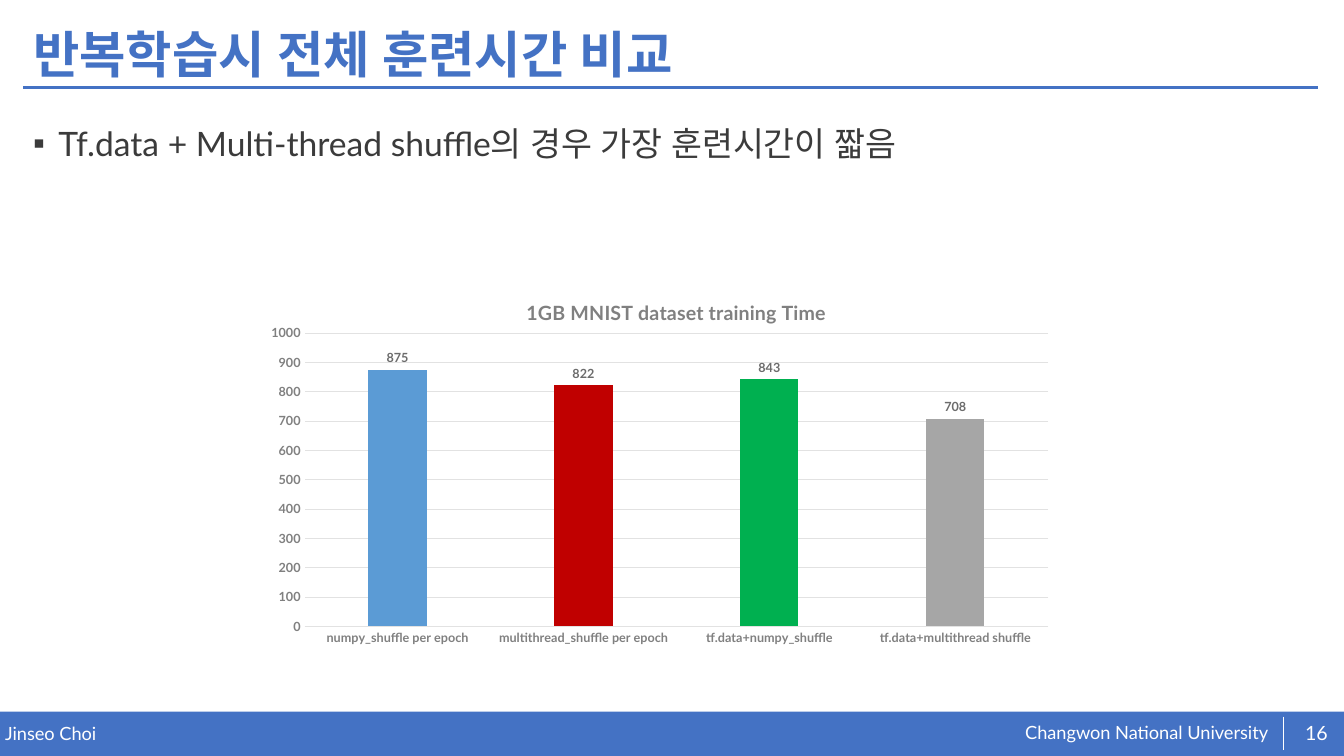
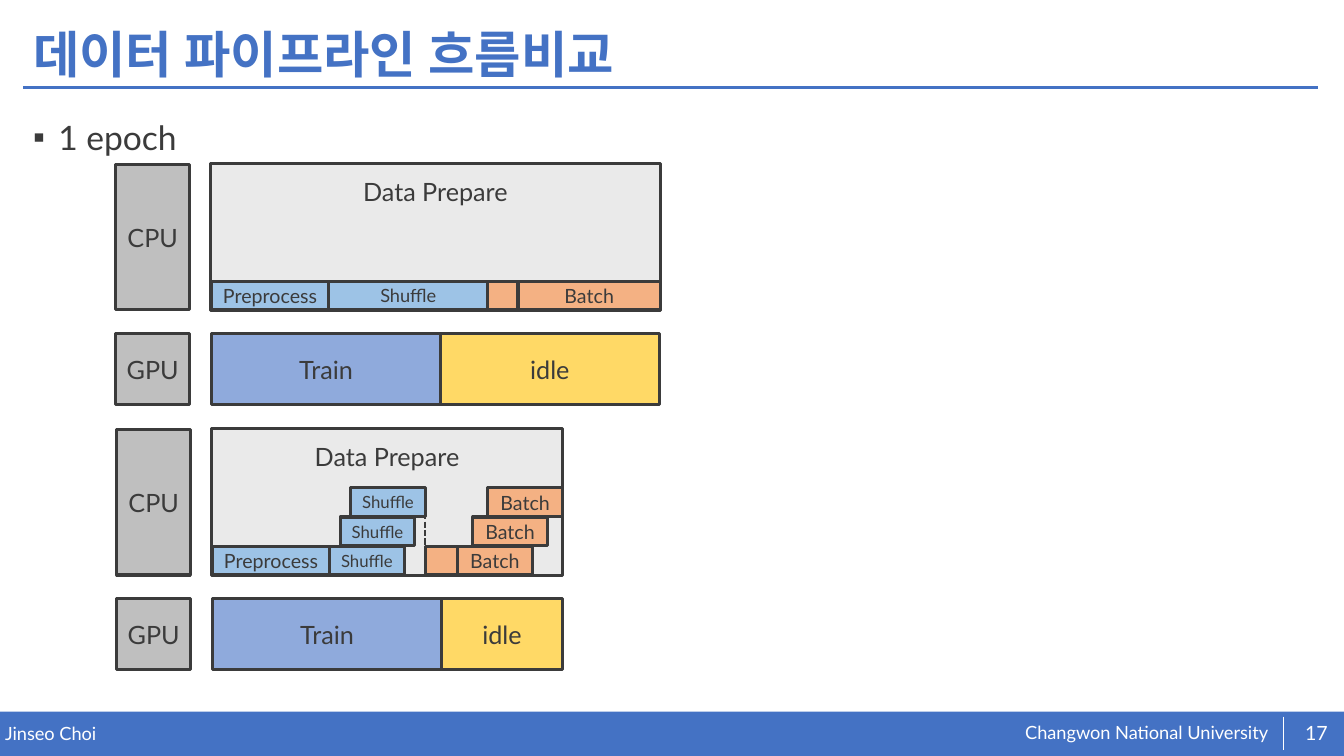
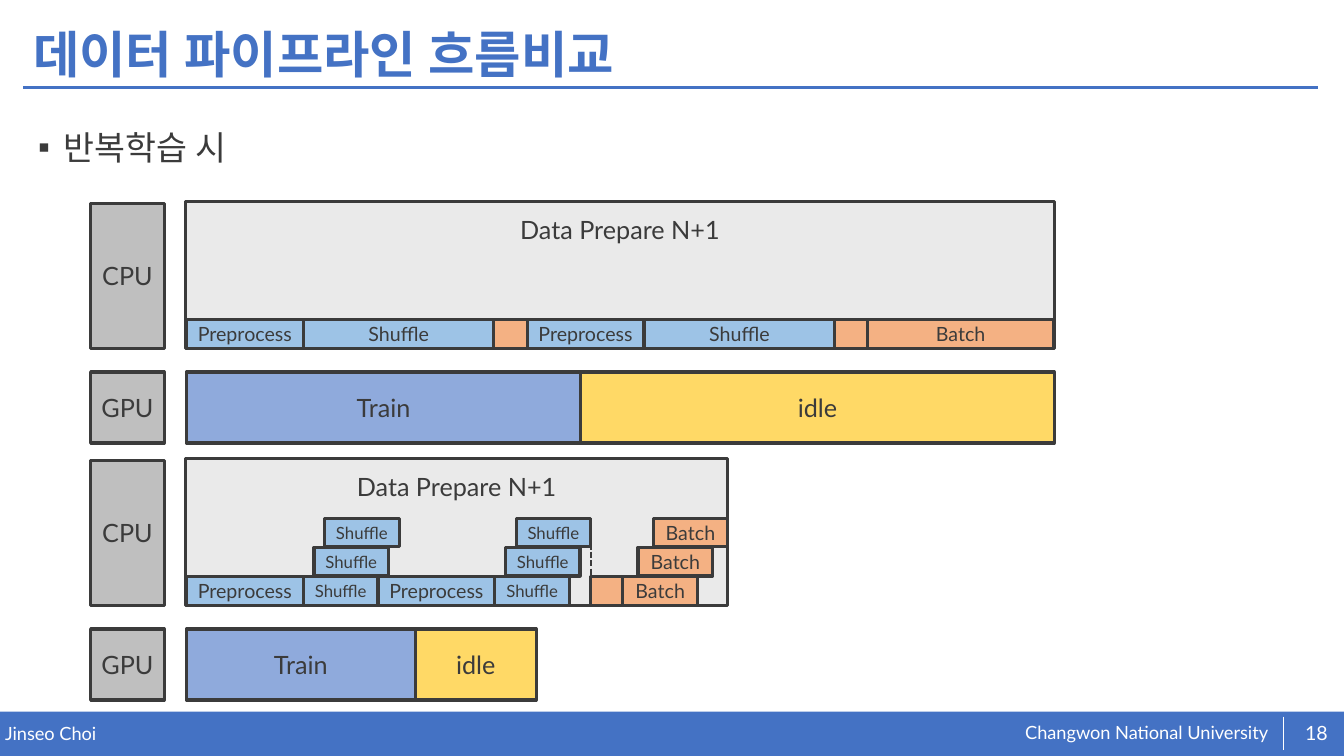
from dataclasses import dataclass
from typing import Any, NamedTuple

from lxml.etree import SubElement
from pptx import Presentation
from pptx.chart.data import CategoryChartData
from pptx.dml.color import RGBColor
from pptx.enum.chart import XL_CHART_TYPE, XL_LABEL_POSITION, XL_TICK_MARK
from pptx.enum.dml import MSO_LINE
from pptx.enum.shapes import MSO_CONNECTOR, MSO_SHAPE
from pptx.enum.text import MSO_ANCHOR, PP_ALIGN
from pptx.oxml import parse_xml
from pptx.oxml.ns import nsdecls, qn
from pptx.util import Emu, Inches, Pt

# Grid: one column and one row are a tenth of an inch
CELL = Inches(0.1)
COLS, ROWS = 133.33, 75

# Colours and font
FONT = "Lato"
WHITE = RGBColor(0xFF, 0xFF, 0xFF)
BLUE = RGBColor(0x44, 0x72, 0xC4)
INK = RGBColor(0x3B, 0x3B, 0x3B)
CHIP = RGBColor(0xBF, 0xBF, 0xBF)
PANEL = RGBColor(0xEA, 0xEA, 0xEA)
YELLOW = RGBColor(0xFF, 0xD9, 0x66)
PERIWINKLE = RGBColor(0x8F, 0xAA, 0xDC)
SKY = RGBColor(0x9D, 0xC3, 0xE6)
ORANGE = RGBColor(0xF4, 0xB1, 0x83)
GREY = RGBColor(0x80, 0x80, 0x80)
LABEL_GREY = RGBColor(0x6C, 0x6C, 0x6C)
GRID_GREY = RGBColor(0xE2, 0xE2, 0xE2)
BAR_COLORS = (RGBColor(0x5B, 0x9B, 0xD5), RGBColor(0xC0, 0x00, 0x00),
              RGBColor(0x00, 0xB0, 0x50), RGBColor(0xA6, 0xA6, 0xA6))


class Box(NamedTuple):
    """A place on the grid, in columns and rows."""
    x: float
    y: float
    w: float
    h: float

    def emu(self) -> list[Emu]:
        return [Emu(round(v * CELL)) for v in self]


@dataclass(frozen=True)
class Step:
    """A pipeline step; copies climb up and to the right."""
    text: str
    width: float
    color: RGBColor
    size: int = 14
    copies: int = 1
    shift: float = 0
    barrier: bool = False


@dataclass(frozen=True)
class Lane:
    """A CPU row with its steps above a GPU row."""
    x: float
    y: float
    width: float
    title: str
    train: float
    idle: float
    steps: tuple[Step, ...]


def put(obj: Any, **values: Any) -> None:
    for name, value in values.items():
        setattr(obj, name, value)


def style_font(font: Any, size: float, color: RGBColor, bold: bool = False) -> None:
    put(font, name=FONT, size=Pt(size), bold=bold)
    font.color.rgb = color


def write(sp: Any, text: str, size: float, color: RGBColor = INK, bold: bool = False,
          align: PP_ALIGN = PP_ALIGN.LEFT, anchor: MSO_ANCHOR = MSO_ANCHOR.TOP,
          inset: tuple[float, float] = (0, 0)) -> Any:
    """Fill a shape with one paragraph; inset is across, down in cells."""
    tf = sp.text_frame
    across, down = (Emu(round(v * CELL)) for v in inset)
    put(tf, word_wrap=True, vertical_anchor=anchor, margin_left=across,
        margin_right=across, margin_top=down, margin_bottom=down)
    p = tf.paragraphs[0]
    p.alignment = align
    r = p.add_run()
    r.text = text
    style_font(r.font, size, color, bold)
    SubElement(r.font._element, qn("a:ea")).set("typeface", FONT)
    return p


def add_text(s: Any, box: Box, text: str, size: float, **style: Any) -> Any:
    return write(s.shapes.add_textbox(*box.emu()), text, size, **style)


def add_block(s: Any, box: Box, fill: RGBColor, text: str = "", size: float = 18,
              outlined: bool = True, **style: Any) -> None:
    sp = s.shapes.add_shape(MSO_SHAPE.RECTANGLE, *box.emu())
    sp.shadow.inherit = False
    sp.fill.solid()
    sp.fill.fore_color.rgb = fill
    if outlined:
        sp.line.color.rgb = INK
        sp.line.width = Pt(2.25)
    else:
        sp.line.fill.background()
    if text:
        write(sp, text, size, **{"align": PP_ALIGN.CENTER,
                                 "anchor": MSO_ANCHOR.MIDDLE, **style})


def add_line(s: Any, x1: float, y1: float, x2: float, y2: float,
             color: RGBColor, width: float, dashed: bool = False) -> None:
    ends = Box(x1, y1, x2, y2).emu()
    line = s.shapes.add_connector(MSO_CONNECTOR.STRAIGHT, *ends)
    line.line.color.rgb = color
    line.line.width = Pt(width)
    if dashed:
        line.line.dash_style = MSO_LINE.SQUARE_DOT
    SubElement(line._element.spPr, qn("a:effectLst"))


# Shared frame: footer band, title with rule, bullet line
def add_page(prs: Any, number: int, title: str, bullet: str,
             bullet_x: float, bullet_y: float) -> Any:
    s = prs.slides.add_slide(prs.slide_layouts[6])
    add_block(s, Box(0, 70.6, COLS, 4.4), BLUE, outlined=False)
    add_text(s, Box(101.7, 71.6, 25.2, 2.3), "Changwon National University", 13,
             color=WHITE)
    add_text(s, Box(0.5, 71.7, 65.5, 2.2), "Jinseo Choi", 13, color=WHITE)
    add_line(s, 2.3, 8.7, 130.8, 8.7, BLUE, 2)
    add_line(s, 127.3, 71.1, 127.3, 74.4, WHITE, 0.5)
    add_text(s, Box(128.2, 70.7, 4.8, 4), str(number), 14, color=WHITE,
             align=PP_ALIGN.CENTER, anchor=MSO_ANCHOR.MIDDLE)
    p = add_text(s, Box(2.3, 1.8, 128.6, 7.7), title, 36, color=BLUE, bold=True,
                 anchor=MSO_ANCHOR.MIDDLE, inset=(1, 0.5))
    p.line_spacing = 0.9
    p = add_text(s, Box(bullet_x, bullet_y, 128.6, 56.3), bullet, 24, inset=(1, 0.5))
    put(p, line_spacing=1.4, space_before=Pt(10))
    pPr = p._p.get_or_add_pPr()
    pPr.set("marL", str(Inches(0.25)))
    pPr.set("indent", str(-Inches(0.25)))
    SubElement(pPr, qn("a:buFont")).set("typeface", "Arial")
    SubElement(pPr, qn("a:buChar")).set("char", "▪")
    return s


# Pipeline diagram
CPU_H, GPU_H, GPU_DROP = 14.6, 7.05, 16.9
CHIP_W, CHIP_GAP = 7.3, 9.4
STEP_H, STEP_RISE, STEP_TOP = 2.85, 2.9, 11.7


def add_lane(s: Any, lane: Lane) -> None:
    gpu_y = lane.y + GPU_DROP
    chip_x = lane.x - CHIP_GAP
    add_block(s, Box(chip_x, lane.y + 0.15, CHIP_W, CPU_H - 0.2), CHIP, "CPU")
    add_block(s, Box(chip_x, gpu_y, CHIP_W, GPU_H), CHIP, "GPU")
    add_block(s, Box(lane.x, lane.y, lane.width, CPU_H), PANEL, lane.title,
              anchor=MSO_ANCHOR.TOP, inset=(1, 1.3))
    x = lane.x + 0.1
    add_block(s, Box(x + lane.train, gpu_y, lane.idle, GPU_H), YELLOW, "idle")
    add_block(s, Box(x, gpu_y, lane.train, GPU_H), PERIWINKLE, "Train")
    for step in lane.steps:
        for i in range(step.copies):
            y = lane.y + STEP_TOP - i * STEP_RISE
            add_block(s, Box(x + i * step.shift, y, step.width, STEP_H),
                      step.color, step.text, step.size)
        x += step.width
        if step.barrier:
            x += (step.copies - 1) * step.shift
            add_line(s, x, y, x, lane.y + CPU_H, INK, 1.5, dashed=True)


# Bar chart
def set_layout(parent: Any, index: int, **shares: float) -> None:
    for old in parent.findall(qn("c:layout")):
        parent.remove(old)
    layout = parse_xml(f"<c:layout {nsdecls('c')}><c:manualLayout/></c:layout>")
    values = {"layoutTarget": "inner"} if "w" in shares else {}
    values |= {"xMode": "edge", "yMode": "edge", **shares}
    for tag, value in values.items():
        SubElement(layout[0], qn(f"c:{tag}")).set("val", str(value))
    parent.insert(index, layout)


def add_time_chart(s: Any, box: Box, title: str, times: dict[str, int]) -> None:
    data = CategoryChartData()
    data.categories = list(times)
    data.add_series("Series 1", list(times.values()))
    chart = s.shapes.add_chart(XL_CHART_TYPE.COLUMN_CLUSTERED, *box.emu(), data).chart
    style_font(chart.font, 10, INK)
    put(chart, has_legend=False, has_title=True)
    r = chart.chart_title.text_frame.paragraphs[0].add_run()
    r.text = title
    style_font(r.font, 14, GREY, True)
    set_layout(chart.chart_title._element, 1, x=0.33, y=0.06)
    set_layout(chart._chartSpace.chart.plotArea, 0, x=0.06, y=0.16, w=0.92, h=0.77)

    for axis in (chart.category_axis, chart.value_axis):
        put(axis, major_tick_mark=XL_TICK_MARK.NONE, minor_tick_mark=XL_TICK_MARK.NONE)
        style_font(axis.tick_labels.font, 9, GREY, True)
    put(chart.value_axis, minimum_scale=0, maximum_scale=1000, major_unit=100,
        has_major_gridlines=True)
    chart.value_axis.format.line.fill.background()
    for part in (chart.category_axis, chart.value_axis.major_gridlines):
        part.format.line.color.rgb = GRID_GREY
        part.format.line.width = Pt(0.75)

    plot = chart.plots[0]
    put(plot, gap_width=219, overlap=-27, vary_by_categories=False,
        has_data_labels=True)
    put(plot.data_labels, show_value=True, position=XL_LABEL_POSITION.OUTSIDE_END)
    style_font(plot.data_labels.font, 9, LABEL_GREY, True)
    for i, color in enumerate(BAR_COLORS):
        fill = plot.series[0].points[i].format.fill
        fill.solid()
        fill.fore_color.rgb = color


# Steps used by the lanes
PREPROCESS = Step("Preprocess", 11.6, SKY)
SHUFFLES = Step("Shuffle", 7.4, SKY, 12, copies=3, shift=1.05)
LAST_SHUFFLES = Step("Shuffle", 7.4, SKY, 12, copies=3, shift=1.05, barrier=True)
BATCHES = Step("Batch", 7.4, ORANGE, copies=3, shift=1.5)
LONG_SHUFFLE = Step("Shuffle", 18.9, SKY)


def pause(width: float) -> Step:
    return Step("", width, ORANGE)


EPOCH_LANES = (
    Lane(20.9, 16.2, 44.6, "Data Prepare", 22.7, 21.7,
         (PREPROCESS, Step("Shuffle", 15.8, SKY, 13), pause(3),
          Step("Batch", 14.1, ORANGE))),
    Lane(21, 42.5, 34.8, "Data Prepare", 22.7, 12,
         (PREPROCESS, LAST_SHUFFLES, pause(3.2), BATCHES)),
)
REPEAT_LANES = (
    Lane(18.4, 20, 86.2, "Data Prepare N+1", 39.1, 47,
         (PREPROCESS, LONG_SHUFFLE, pause(3.3)) * 2 + (Step("Batch", 18.4, ORANGE),)),
    Lane(18.4, 45.5, 53.8, "Data Prepare N+1", 22.7, 12,
         (PREPROCESS, SHUFFLES, PREPROCESS, LAST_SHUFFLES, pause(3.2), BATCHES)),
)
TRAINING_TIMES = {
    "numpy_shuffle per epoch": 875,
    "multithread_shuffle per epoch": 822,
    "tf.data+numpy_shuffle": 843,
    "tf.data+multithread shuffle": 708,
}
FLOW_TITLE = "데이터 파이프라인 흐름비교"

prs = Presentation()
put(prs, slide_width=Emu(round(COLS * CELL)), slide_height=Emu(ROWS * CELL))

# Training time
s = add_page(prs, 16, "반복학습시 전체 훈련시간 비교",
             "Tf.data + Multi-thread shuffle의 경우 가장 훈련시간이 짧음", 2.3, 10.1)
add_time_chart(s, Box(25.4, 27, 80.2, 37.8), "1GB MNIST dataset training Time",
               TRAINING_TIMES)

# One epoch
s = add_page(prs, 17, FLOW_TITLE, "1 epoch", 2.3, 9.5)
for lane in EPOCH_LANES:
    add_lane(s, lane)

# Repeated training
s = add_page(prs, 18, FLOW_TITLE, "반복학습 시", 2.8, 10.5)
for lane in REPEAT_LANES:
    add_lane(s, lane)

prs.save("out.pptx")
